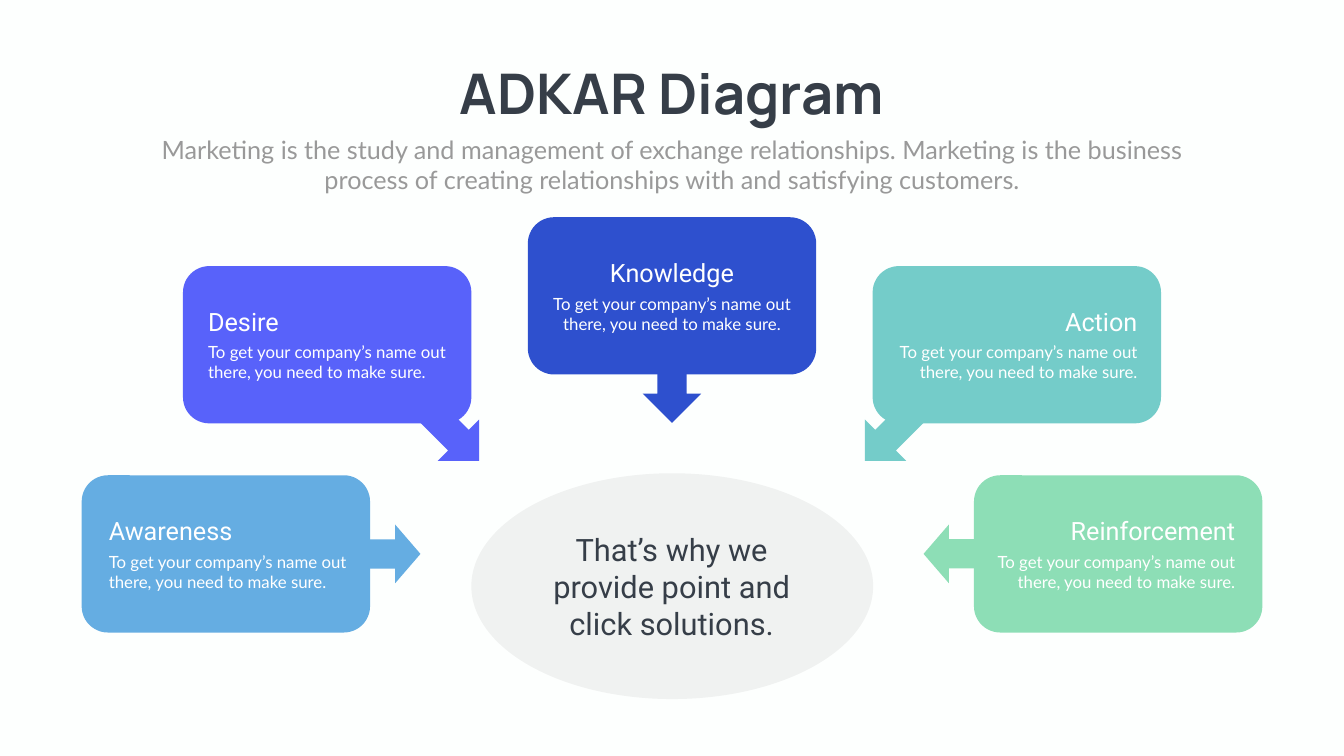
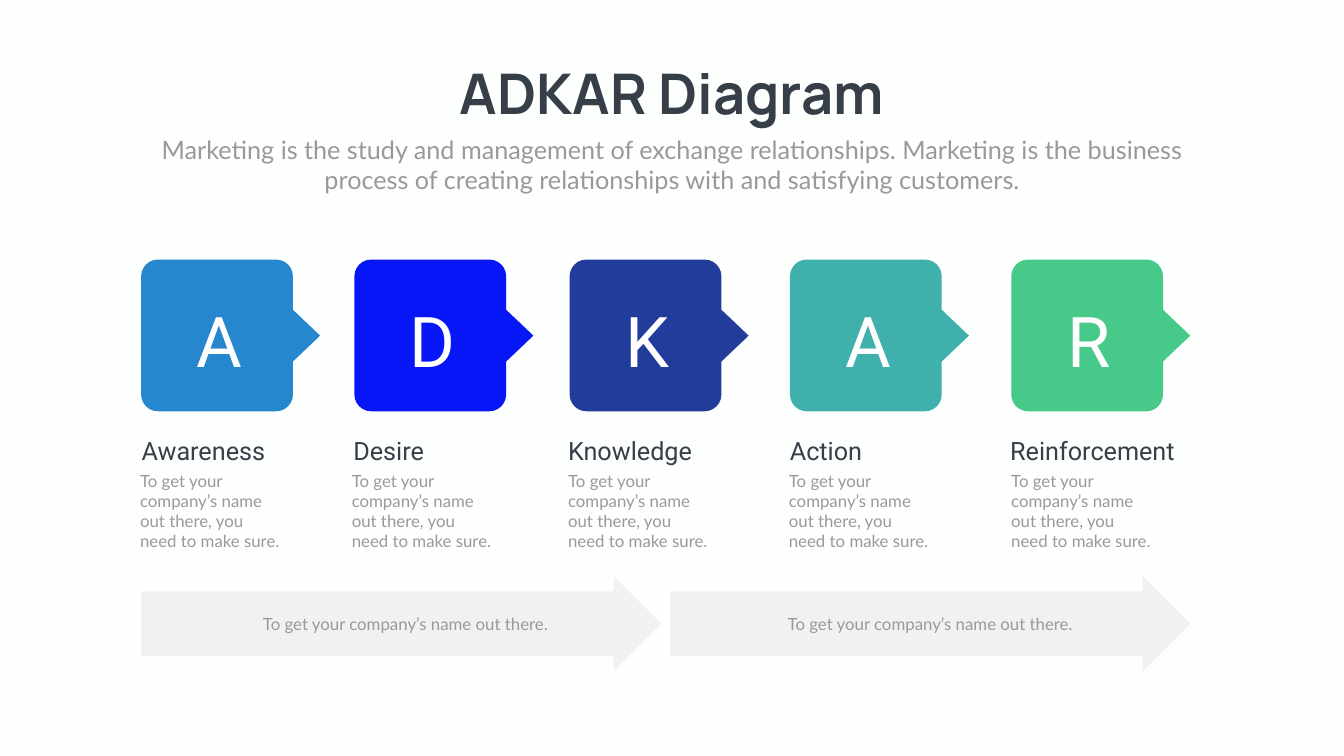
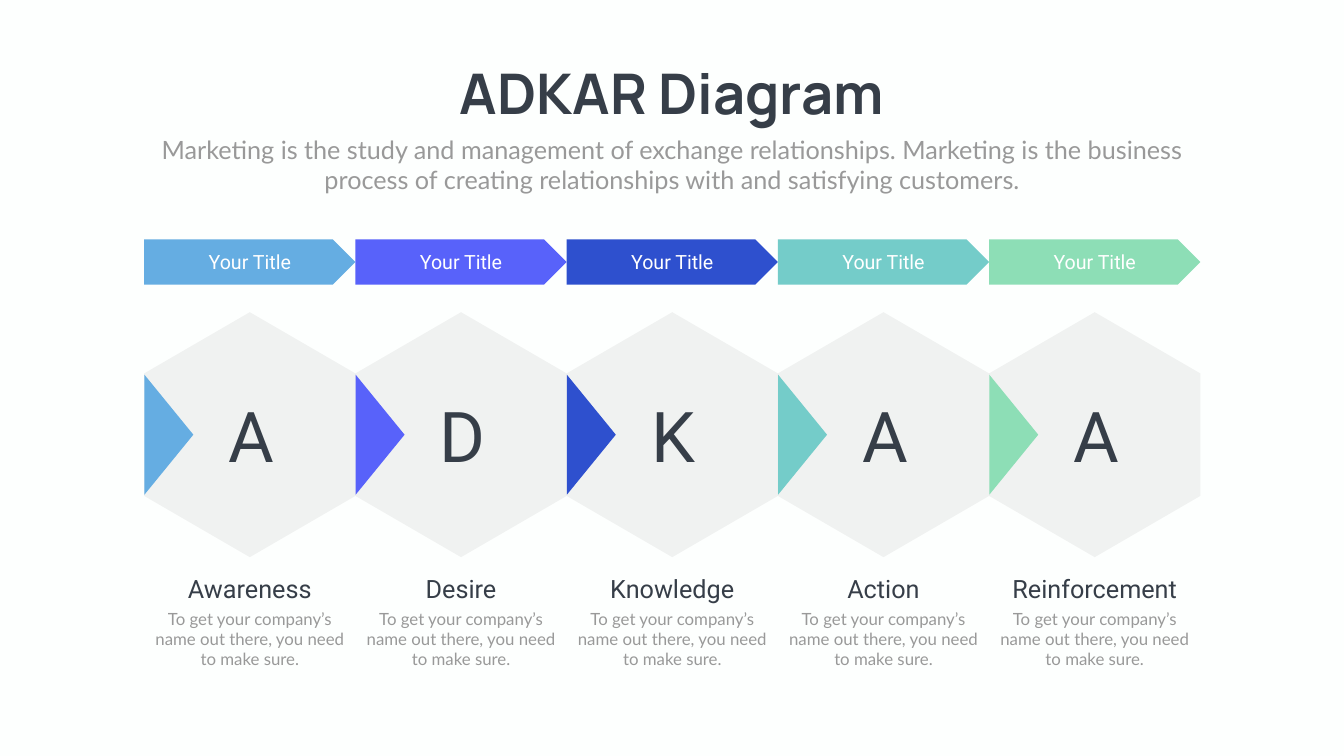
from dataclasses import dataclass
from typing import NamedTuple

from lxml.etree import SubElement
from pptx import Presentation
from pptx.dml.color import RGBColor
from pptx.enum.shapes import MSO_SHAPE as Preset
from pptx.enum.text import MSO_ANCHOR as Anchor, MSO_AUTO_SIZE as AutoSize, PP_ALIGN as Align
from pptx.oxml.ns import qn
from pptx.shapes.base import BaseShape
from pptx.slide import Slide
from pptx.util import Inches, Pt


# Theme: colours, fonts and type sizes
@dataclass(frozen=True)
class Theme:
    background: str = "FDFFFE"
    dark: str = "363E48"
    grey: str = "999999"
    white: str = "FFFFFF"
    veil: str = "808080"
    veil_alpha: int = 10
    soft: tuple[str, ...] = ("65ADE2", "5862FA", "2E50CE", "74CCC9", "8DDEB6")
    strong: tuple[str, ...] = ("2787CE", "0716F6", "223C9B", "40B0AC", "47CA89")
    title_font: str = "Manrope"
    heading_font: str = "Roboto"
    body_font: str = "Lato"
    title_size: int = 80
    subtitle_size: int = 36
    heading_size: int = 36
    body_size: int = 24
    letter_size: int = 100
    message_size: int = 44
    tag_size: int = 28


THEME = Theme()
STEPS = ("Awareness", "Desire", "Knowledge", "Action", "Reinforcement")
TITLE = "ADKAR Diagram"
SUBTITLE = ("Marketing is the study and management of exchange relationships. Marketing is "
            "the business process of creating relationships with and satisfying customers.")
STEP_TEXT = "To get your company’s name out there, you need to make sure."
ARROW_TEXT = "To get your company’s name out there."
MESSAGE = "That’s why we provide point and click solutions."


class Box(NamedTuple):
    left: float
    top: float
    width: float
    height: float


def centred(middle: float, top: float, width: float, height: float) -> Box:
    return Box(middle - width / 2, top, width, height)


@dataclass(frozen=True)
class Callout:
    """A rounded card with its arrow and its aligned text."""
    card_left: float
    card_top: float
    arrow: Box
    heading: Box
    body_left: float
    align: Align


@dataclass(frozen=True)
class LetterCard:
    """A letter square and the left edges of the text below it."""
    letter: str
    left: float
    heading_left: float
    body_left: float
    heading_width: float = 3.26


CALLOUTS = (
    Callout(1.62, 9.43, Box(7.34, 10.41, 1, 1.16),
            Box(2.06, 10.18, 3.26, 0.71), 2.06, Align.LEFT),
    Callout(3.63, 5.28, Box(8.24, 8.04, 1.48, 1.16),
            Box(4.03, 6.02, 3.26, 0.71), 4.03, Align.LEFT),
    Callout(10.47, 4.31, Box(12.59, 7.07, 1.48, 1.16),
            Box(11.7, 5.06, 3.26, 0.71), 10.8, Align.CENTER),
    Callout(17.31, 5.28, Box(16.94, 8.04, 1.48, 1.16),
            Box(19.4, 6.02, 3.26, 0.71), 17.6, Align.RIGHT),
    Callout(19.32, 9.43, Box(18.32, 10.41, 1, 1.16),
            Box(20.75, 10.18, 3.85, 0.71), 19.54, Align.RIGHT),
)
LETTER_CARDS = (
    LetterCard("A", 2.8, 2.71, 2.68),
    LetterCard("D", 7.03, 6.91, 6.88),
    LetterCard("K", 11.3, 11.17, 11.17),
    LetterCard("A", 15.67, 15.57, 15.55),
    LetterCard("R", 20.06, 19.94, 19.96, heading_width=4.04),
)
HEXAGON_LETTERS = "ADKAA"


# Drawing helpers
def place(shape: BaseShape, box: Box) -> None:
    shape.left, shape.top, shape.width, shape.height = map(Inches, box)


def write(shape: BaseShape, text: str, *, font: str, size: int, color: str,
          align: Align = Align.CENTER, bold: bool = False, wrap: bool = True) -> None:
    frame = shape.text_frame
    frame.word_wrap = wrap
    frame.auto_size = AutoSize.SHAPE_TO_FIT_TEXT
    frame.vertical_anchor = Anchor.TOP
    paragraph = frame.paragraphs[0]
    paragraph.alignment = align
    run = paragraph.add_run()
    run.text = text
    run.font.name = font
    run.font.size = Pt(size)
    run.font.bold = bold
    run.font.color.rgb = RGBColor.from_string(color)


def add_text(slide: Slide, text: str, box: Box, **text_format) -> None:
    write(slide.shapes.add_textbox(*map(Inches, box)), text, **text_format)


def add_heading(slide: Slide, text: str, box: Box, color: str = THEME.dark,
                align: Align = Align.CENTER, size: int = THEME.heading_size) -> None:
    add_text(slide, text, box, font=THEME.heading_font, size=size, color=color, align=align)


def add_body(slide: Slide, text: str, box: Box, color: str = THEME.grey,
             align: Align = Align.CENTER) -> None:
    add_text(slide, text, box, font=THEME.body_font, size=THEME.body_size,
             color=color, align=align)


def add_shape(slide: Slide, preset: Preset, box: Box, color: str, *, rotation: float = 0,
              alpha: int = 100, adjustments: tuple[float, ...] = ()) -> None:
    shape = slide.shapes.add_shape(preset, *map(Inches, box))
    shape.shadow.inherit = False
    shape.rotation = rotation
    shape.line.fill.background()
    shape.fill.solid()
    shape.fill.fore_color.rgb = RGBColor.from_string(color)
    for index, value in enumerate(adjustments):
        shape.adjustments[index] = value
    if alpha < 100:
        tint = shape.fill._xPr.find(qn("a:solidFill"))[0]
        SubElement(tint, qn("a:alpha"), val=str(alpha * 1000))


def add_veil(slide: Slide, preset: Preset, box: Box, **options) -> None:
    add_shape(slide, preset, box, THEME.veil, alpha=THEME.veil_alpha, **options)


def add_titled_slide(presentation: Presentation) -> Slide:
    slide = presentation.slides.add_slide(presentation.slide_layouts.get_by_name("Title Only"))
    place(slide.shapes.title, Box(8.59, 1.12, 9.48, 1.45))
    write(slide.shapes.title, TITLE, font=THEME.title_font, size=THEME.title_size,
          color=THEME.dark, bold=True, wrap=False)
    add_text(slide, SUBTITLE, Box(2.92, 2.61, 20.82, 1.31), font=THEME.body_font,
             size=THEME.subtitle_size, color=THEME.grey)
    return slide


# Slide 1: five callouts around a central message
def build_callouts(presentation: Presentation) -> None:
    slide = add_titled_slide(presentation)
    add_veil(slide, Preset.OVAL, Box(9.35, 9.39, 7.97, 4.48))
    for index, (callout, step, color) in enumerate(zip(CALLOUTS, STEPS, THEME.soft)):
        add_shape(slide, Preset.ROUNDED_RECTANGLE,
                  Box(callout.card_left, callout.card_top, 5.72, 3.12), color)
        add_shape(slide, Preset.LEFT_ARROW, callout.arrow, color,
                  rotation=(180 + 45 * index) % 360)
        add_heading(slide, step, callout.heading, THEME.white, callout.align)
        body_top = callout.heading.top + callout.heading.height
        add_body(slide, STEP_TEXT, Box(callout.body_left, body_top, 5.06, 0.91),
                 THEME.white, callout.align)
    add_heading(slide, MESSAGE, Box(10.34, 10.48, 5.97, 2.32), size=THEME.message_size)


# Slide 2: letter squares above two wide arrows
def build_letter_cards(presentation: Presentation) -> None:
    slide = add_titled_slide(presentation)
    for card, step, color in zip(LETTER_CARDS, STEPS, THEME.strong):
        add_shape(slide, Preset.ROUNDED_RECTANGLE, Box(card.left, 5.15, 3.01, 3.01), color,
                  adjustments=(0.11,))
        add_shape(slide, Preset.ISOSCELES_TRIANGLE, Box(card.left + 2.36, 6.25, 1.56, 0.82),
                  color, rotation=90)
        add_heading(slide, card.letter, Box(card.left + 0.8, 5.85, 1.49, 1.59),
                    THEME.white, size=THEME.letter_size)
        add_heading(slide, step, Box(card.heading_left, 8.58, card.heading_width, 0.71),
                    align=Align.LEFT)
        add_body(slide, STEP_TEXT, Box(card.body_left, 9.29, 3.03, 1.72), align=Align.LEFT)
    for arrow_left, text_left in ((2.8, 4.85), (13.29, 15.26)):
        add_veil(slide, Preset.RIGHT_ARROW, Box(arrow_left, 11.43, 10.32, 1.89),
                 adjustments=(0.68, 0.5))
        add_body(slide, ARROW_TEXT, Box(text_left, 12.12, 6.38, 0.5))


# Slide 3: a row of hexagons under a row of tags
def build_hexagons(presentation: Presentation) -> None:
    slide = add_titled_slide(presentation)
    row_left, pitch = 2.86, 4.19
    for index, (letter, step, color) in enumerate(zip(HEXAGON_LETTERS, STEPS, THEME.soft)):
        left = row_left + index * pitch
        middle = left + pitch / 2
        add_shape(slide, Preset.PENTAGON, Box(left, 4.75, pitch, 0.9), color)
        add_heading(slide, "Your Title", centred(middle, 4.91, 3.31, 0.57), THEME.white,
                    size=THEME.tag_size)
        add_veil(slide, Preset.HEXAGON, centred(middle, 6.53, 4.86, pitch), rotation=90,
                 adjustments=(0.29,))
        add_shape(slide, Preset.ISOSCELES_TRIANGLE, Box(left - 0.7, 8.14, 2.38, 0.97), color,
                  rotation=90)
        add_heading(slide, letter, centred(middle + 0.03, 7.74, 1.38, 1.78),
                    size=THEME.letter_size)
        add_heading(slide, step, centred(middle, 11.32, 4.26, 0.71))
        add_body(slide, STEP_TEXT, centred(middle, 12.03, 4.04, 1.31))


def main() -> None:
    presentation = Presentation()
    presentation.slide_width, presentation.slide_height = Inches(26.66), Inches(15)
    background = presentation.slide_master.background.fill
    background.solid()
    background.fore_color.rgb = RGBColor.from_string(THEME.background)
    build_callouts(presentation)
    build_letter_cards(presentation)
    build_hexagons(presentation)
    presentation.save("out.pptx")


if __name__ == "__main__":
    main()
